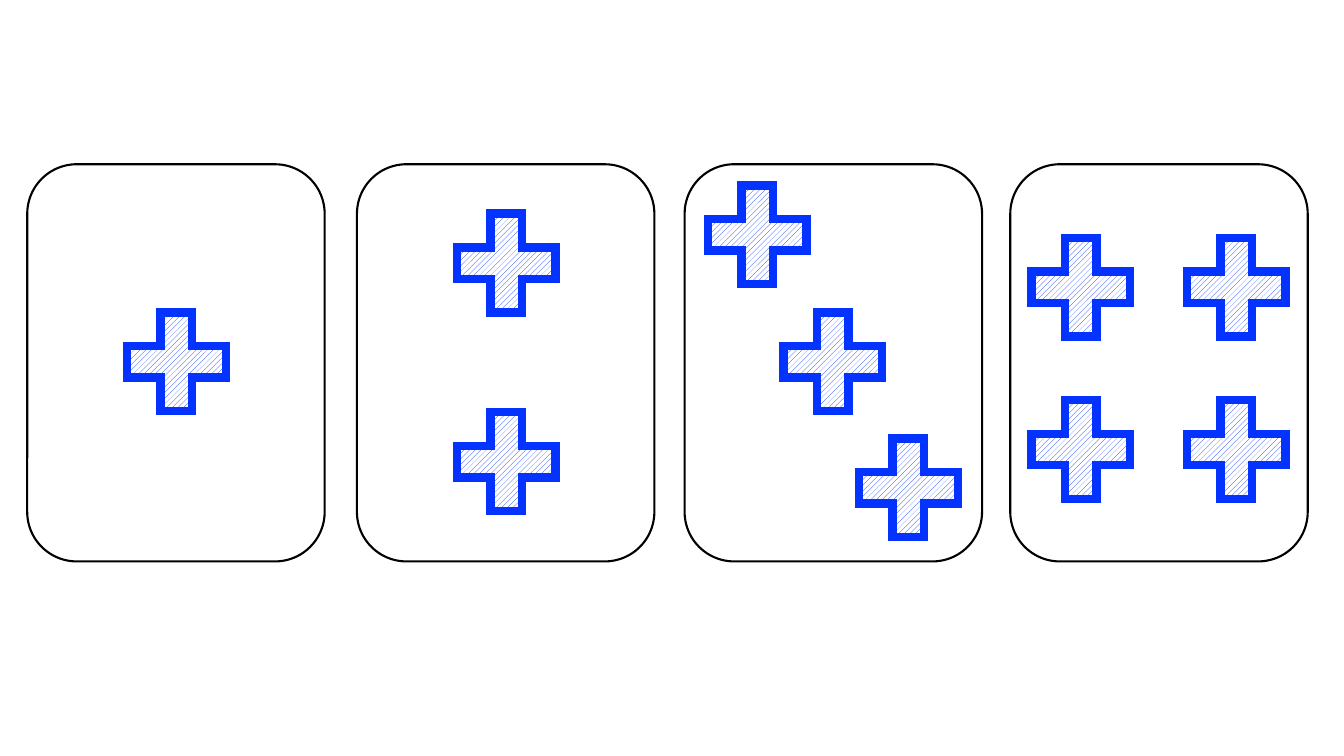
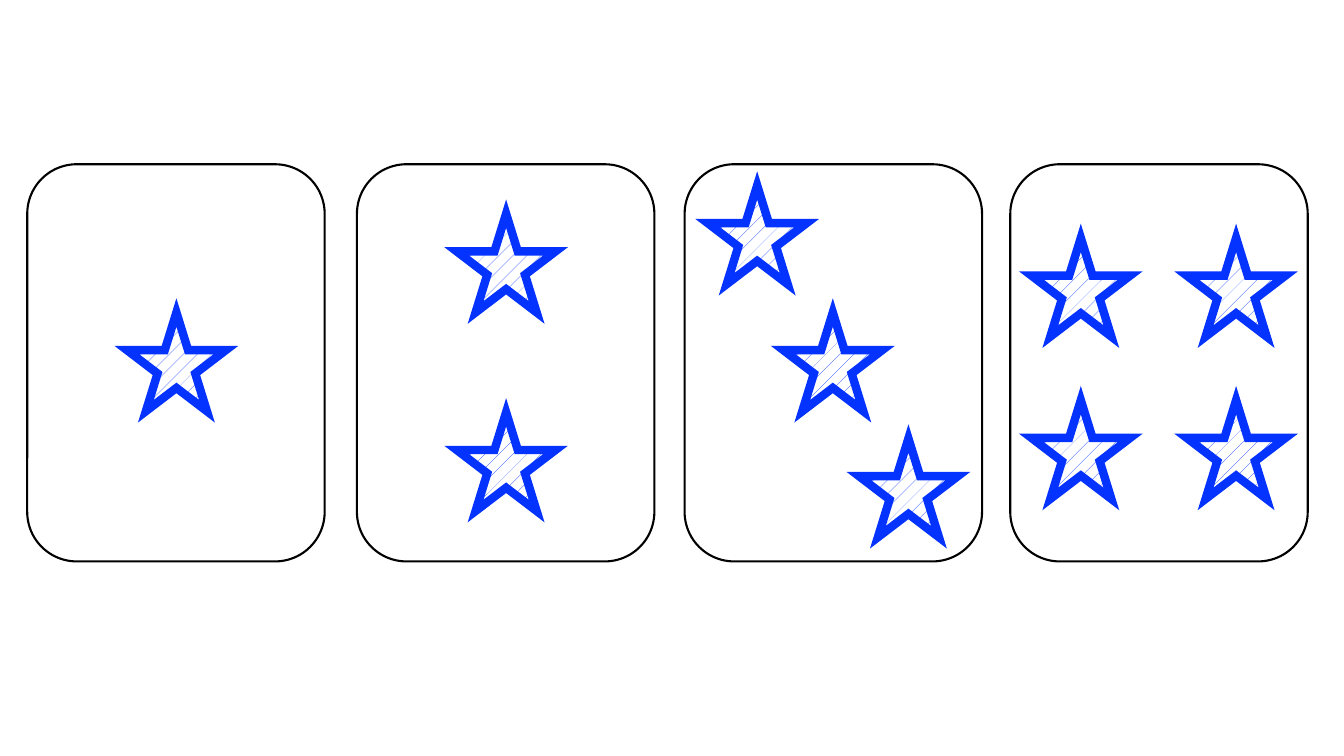
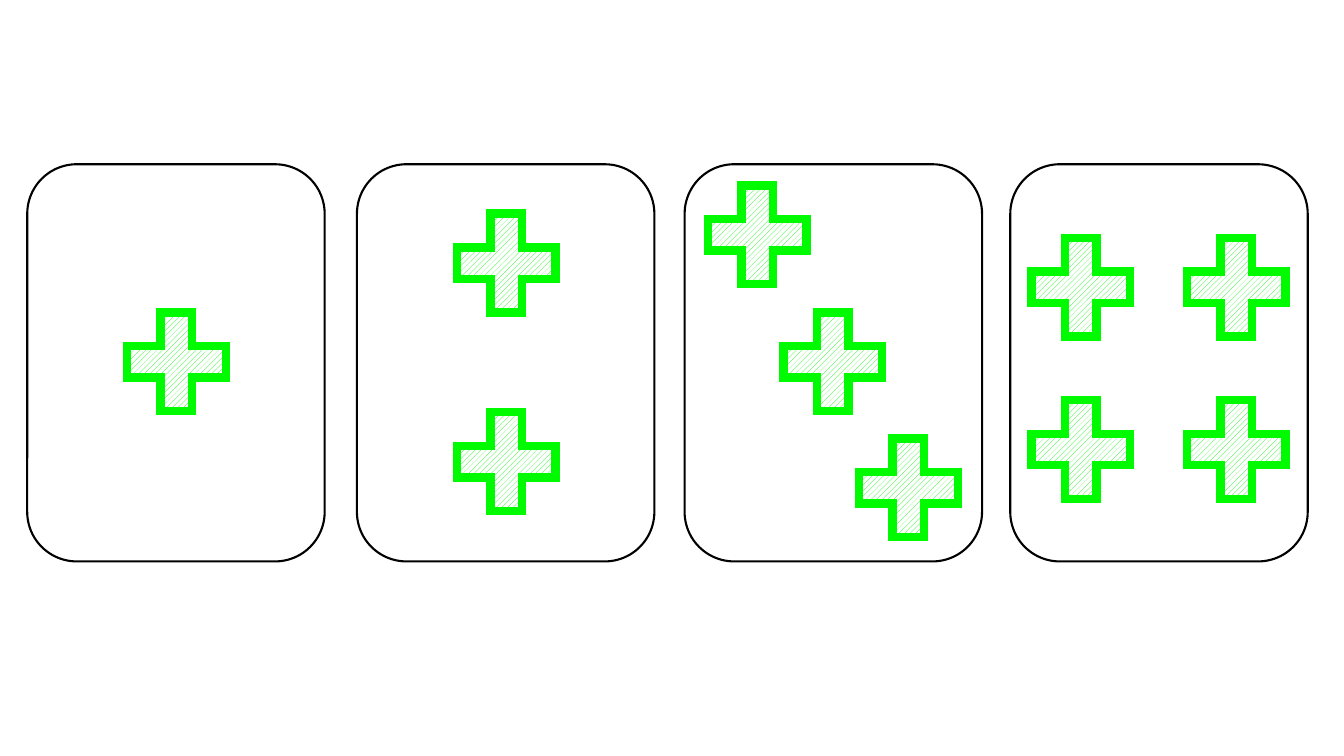
import dataclasses
import itertools

import pptx
import pptx.dml.color
import pptx.enum.dml
import pptx.enum.shapes
import pptx.oxml
import pptx.oxml.ns
import pptx.util

SHAPE = pptx.enum.shapes.MSO_SHAPE
PATTERN = pptx.enum.dml.MSO_PATTERN


@dataclasses.dataclass(frozen=True)
class Theme:
    paper: str = "FFFFFF"
    ink: str = "000000"
    blue: str = "0432FF"
    green: str = "00FA00"
    card_line: float = 1.5
    symbol_line: float = 6


THEME = Theme()
PX = 9144
CARD_SIZE = (295, 394)
CARD_TOP = 163
CARD_LEFTS = (27, 354, 679, 1002)
SYMBOL_SIZE = (98, 98)
SYMBOL_OFFSETS = (
    [(99, 147)],
    [(99, 49), (99, 246)],
    [(23, 21), (98, 147), (173, 272)],
    [(x, y) for y, x in itertools.product((73, 234), (21, 175))],
)
CROSS = {"kind": SHAPE.CROSS, "pattern": PATTERN.WIDE_UPWARD_DIAGONAL, "adjustments": [0.341]}
STAR = {"kind": SHAPE.STAR_5_POINT, "pattern": PATTERN.PERCENT_5, "adjustments": []}
SUITS = ((CROSS, THEME.blue), (STAR, THEME.blue), (CROSS, THEME.green))


def rgb(value):
    return pptx.dml.color.RGBColor.from_string(value)


class CardDeck:
    def __init__(self, theme):
        self.theme = theme
        self.presentation = pptx.Presentation()
        for side, length in {"slide_width": 1333, "slide_height": 750}.items():
            setattr(self.presentation, side, length * PX)
        self.slide = None

    def start_slide(self):
        self.slide = self.presentation.slides.add_slide(self.presentation.slide_layouts[6])
        background = self.slide.background.fill
        background.solid()
        background.fore_color.rgb = rgb(self.theme.paper)

    def outlined(self, kind, position, size, color, width):
        shape = self.slide.shapes.add_shape(kind, *(length * PX for length in (*position, *size)))
        shape.shadow.inherit = False
        shape.line.color.rgb = rgb(color)
        shape.line.width = pptx.util.Pt(width)
        namespace = pptx.oxml.ns.nsdecls("a")
        miter = pptx.oxml.parse_xml(f'<a:miter {namespace} lim="800000"/>')
        shape.line._get_or_add_ln().append(miter)
        return shape

    def card(self, left):
        card = self.outlined(SHAPE.ROUNDED_RECTANGLE, (left, CARD_TOP), CARD_SIZE,
                             self.theme.ink, self.theme.card_line)
        card.fill.solid()
        card.fill.fore_color.rgb = rgb(self.theme.paper)

    def symbol(self, position, suit, color):
        symbol = self.outlined(suit["kind"], position, SYMBOL_SIZE, color, self.theme.symbol_line)
        for index, value in enumerate(suit["adjustments"]):
            symbol.adjustments[index] = value
        fill = symbol.fill
        fill.patterned()
        fill.pattern = suit["pattern"]
        fill.fore_color.rgb = rgb(color)
        fill.back_color.rgb = rgb(self.theme.paper)

    def suit_slide(self, suit, color):
        self.start_slide()
        for left in CARD_LEFTS:
            self.card(left)
        for left, offsets in zip(CARD_LEFTS, SYMBOL_OFFSETS):
            for x, y in offsets:
                self.symbol((left + x, CARD_TOP + y), suit, color)


def main():
    deck = CardDeck(THEME)
    for suit, color in SUITS:
        deck.suit_slide(suit, color)
    deck.presentation.save("out.pptx")


if __name__ == "__main__":
    main()
